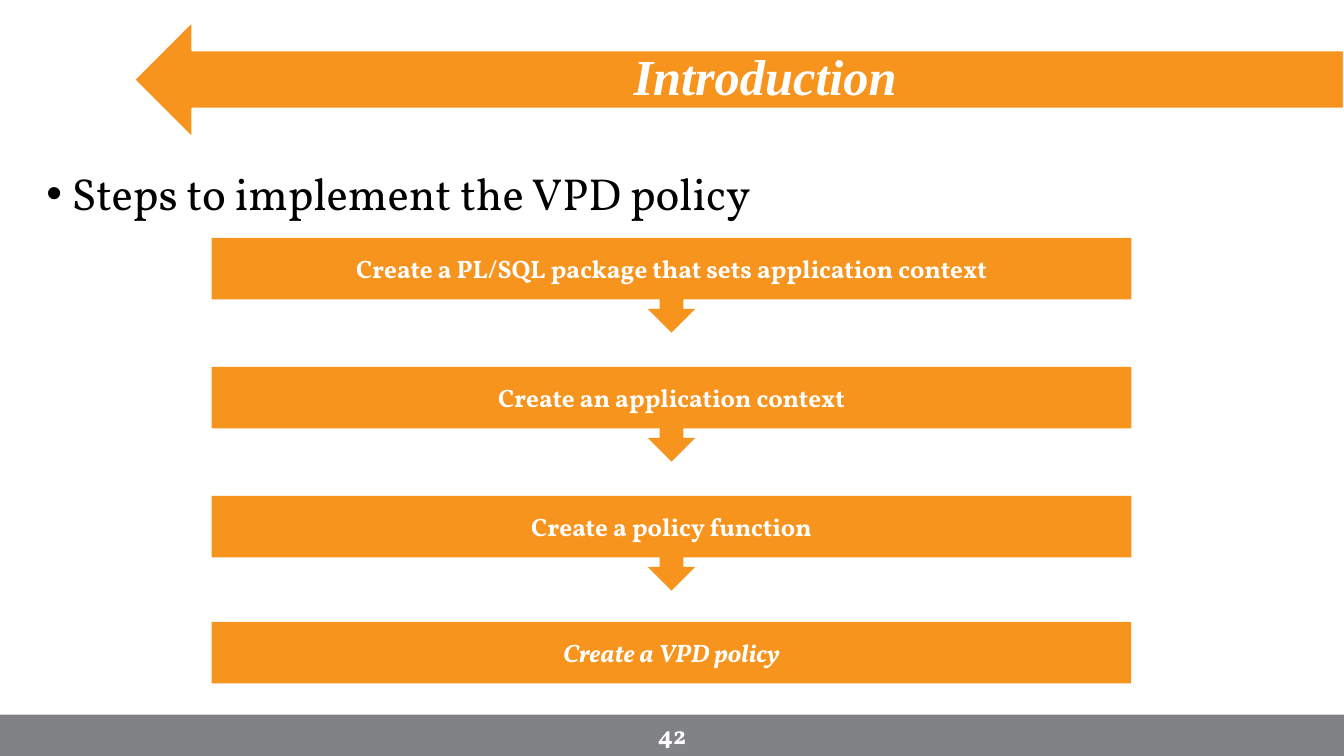
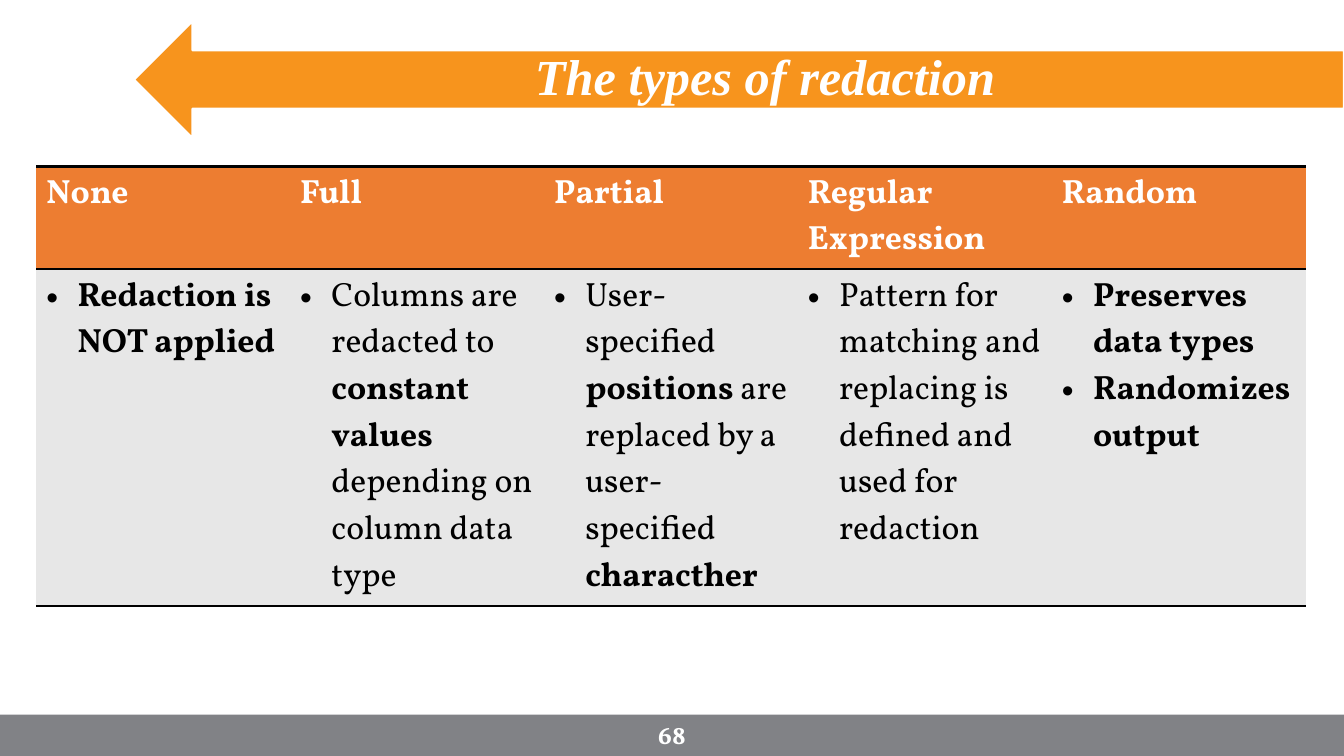
from dataclasses import dataclass

from lxml.etree import SubElement
from pptx import Presentation
from pptx.dml.color import RGBColor
from pptx.enum.shapes import MSO_SHAPE as Shape
from pptx.enum.text import MSO_ANCHOR as Anchor, MSO_AUTO_SIZE as AutoSize, PP_ALIGN as Align
from pptx.oxml.ns import qn
from pptx.util import Inches, Pt


@dataclass(frozen=True)
class Theme:
    orange: str = "F7941D"
    grey: str = "818286"
    header: str = "ED7D31"
    cell: str = "E7E7E7"
    white: str = "FFFFFF"
    black: str = "000000"
    title_font: str = "Times New Roman"
    text_font: str = "Vollkorn"
    title_size: int = 36
    list_size: int = 32
    table_size: int = 24
    label_size: int = 18
    border_width: int = 2
    plain_table_style: str = "{2D5ABB26-0587-4C30-8999-92F81FD0307C}"


class Deck:
    def __init__(self, theme):
        self.theme = theme
        self.presentation = Presentation()
        self.presentation.slide_width = Inches(13.33)
        self.presentation.slide_height = Inches(7.5)
        self.slide = None

    def style(self, paragraph, size, color, bold=None, italic=None, name=None):
        font = paragraph.font
        font.name = name or self.theme.text_font
        font.size = Pt(size)
        font.color.rgb = RGBColor.from_string(color)
        font.bold = bold
        font.italic = italic

    def bullet(self, paragraph, indent):
        properties = paragraph._p.get_or_add_pPr()
        properties.set("marL", str(Inches(indent)))
        properties.set("indent", str(-Inches(indent)))
        SubElement(properties, qn("a:buFont"), typeface="Arial")
        SubElement(properties, qn("a:buChar"), char="•")

    def place(self, shape, left, top, width, height):
        shape.left, shape.top = Inches(left), Inches(top)
        shape.width, shape.height = Inches(width), Inches(height)

    def shape(self, kind, left, top, width, height, color):
        shape = self.slide.shapes.add_shape(
            kind, Inches(left), Inches(top), Inches(width), Inches(height))
        shape.shadow.inherit = False
        shape.fill.solid()
        shape.fill.fore_color.rgb = RGBColor.from_string(color)
        shape.line.fill.background()
        return shape

    def label(self, shape, text, italic=None):
        frame = shape.text_frame
        frame.word_wrap = True
        frame.vertical_anchor = Anchor.MIDDLE
        paragraph = frame.paragraphs[0]
        paragraph.text = text
        paragraph.alignment = Align.CENTER
        self.style(paragraph, self.theme.label_size, self.theme.white, True, italic)

    def decorate_master(self):
        arrow = self.shape(Shape.LEFT_ARROW, 1.33, 0.21, 12, 1.16, self.theme.orange)
        arrow.line.color.rgb = RGBColor.from_string(self.theme.white)
        arrow.line.width = Pt(1.5)
        footer = self.shape(Shape.RECTANGLE, 0, 7.09, 13.33, 0.41, self.theme.grey)
        master_shapes = self.presentation.slide_master.shapes
        next_id = max(shape.shape_id for shape in master_shapes) + 1
        for offset, shape in enumerate((arrow, footer)):
            element = shape._element
            element.nvSpPr.cNvPr.set("id", str(next_id + offset))
            master_shapes._spTree.insert(2 + offset, element)

    def add_slide(self, layout_name, title, number):
        layout = self.presentation.slide_layouts.get_by_name(layout_name)
        first = self.slide is None
        self.slide = self.presentation.slides.add_slide(layout)
        if first:
            self.decorate_master()
        heading = self.slide.shapes.title
        self.place(heading, 1.66, 0.43, 11.86, 0.72)
        frame = heading.text_frame
        frame.auto_size = AutoSize.NONE
        frame.vertical_anchor = Anchor.MIDDLE
        paragraph = frame.paragraphs[0]
        paragraph.text = title
        paragraph.alignment = Align.CENTER
        paragraph.line_spacing = 0.9
        self.style(paragraph, self.theme.title_size, self.theme.white,
                   True, True, self.theme.title_font)
        number_box = self.slide.shapes.add_textbox(
            Inches(6.29), Inches(7.09), Inches(0.75), Inches(0.4))
        self.label(number_box, str(number))

    def body(self, text):
        placeholder = self.slide.placeholders[1]
        self.place(placeholder, 0.36, 1.65, 12.59, 4.76)
        frame = placeholder.text_frame
        frame.auto_size = AutoSize.NONE
        paragraph = frame.paragraphs[0]
        paragraph.text = text
        paragraph.line_spacing = 0.9
        paragraph.space_before = Pt(0)
        self.bullet(paragraph, 0.25)
        self.style(paragraph, self.theme.list_size, self.theme.black)

    def steps(self, callouts, final_step):
        left, top, pitch, width = 2.1, 2.36, 1.28, 9.12
        for index, text in enumerate(callouts):
            callout = self.shape(Shape.DOWN_ARROW_CALLOUT, left, top + index * pitch,
                                 width, 0.94, self.theme.orange)
            self.label(callout, text)
        box = self.shape(Shape.RECTANGLE, left, 6.17, width, 0.61, self.theme.orange)
        self.label(box, final_step, True)

    def border(self, cell, *sides):
        properties = cell._tc.get_or_add_tcPr()
        for side in sides:
            line = SubElement(properties, qn(f"a:{side}"),
                              w=str(Pt(self.theme.border_width)))
            fill = SubElement(line, qn("a:solidFill"))
            SubElement(fill, qn("a:srgbClr"), val=self.theme.black)

    def fill_cell(self, cell, color):
        self.border(cell, "lnT", "lnB")
        cell.fill.solid()
        cell.fill.fore_color.rgb = RGBColor.from_string(color)

    def cell_bullets(self, cell, items):
        frame = cell.text_frame
        for index, item in enumerate(items):
            paragraph = frame.add_paragraph() if index else frame.paragraphs[0]
            self.bullet(paragraph, 0.31)
            self.style(paragraph, self.theme.table_size, self.theme.black)
            for position, text in enumerate(item.split("*")):
                if text:
                    run = paragraph.add_run()
                    run.text = text
                    run.font.bold = position % 2 == 1

    def table(self, columns):
        width = 12.59
        frame = self.slide.shapes.add_table(
            2, len(columns), Inches(0.36), Inches(1.65), Inches(width), Inches(4.36))
        table = frame.table
        table._tbl.tblPr.find(qn("a:tableStyleId")).text = self.theme.plain_table_style
        table.horz_banding = False
        table.rows[0].height, table.rows[1].height = Inches(1.02), Inches(3.34)
        for index, (heading, items) in enumerate(columns.items()):
            table.columns[index].width = Inches(width / len(columns))
            header, content = table.cell(0, index), table.cell(1, index)
            self.fill_cell(header, self.theme.header)
            self.fill_cell(content, self.theme.cell)
            paragraph = header.text_frame.paragraphs[0]
            paragraph.text = heading
            self.style(paragraph, self.theme.table_size, self.theme.white, True)
            self.cell_bullets(content, items)


def main():
    deck = Deck(Theme())

    deck.add_slide("Title and Content", "Introduction", 42)
    deck.body("Steps to implement the VPD policy")
    deck.steps(
        ["Create a PL/SQL package that sets application context",
         "Create an application context",
         "Create a policy function"],
        "Create a VPD policy")

    deck.add_slide("Title Only", "The types of redaction", 68)
    deck.table({
        "None": ["*Redaction is NOT applied*"],
        "Full": ["Columns are redacted to *constant values *depending on column data type"],
        "Partial": ["User-specified *positions* are replaced by a user-specified *characther*"],
        "Regular Expression": [
            "Pattern for matching and replacing is defined and used for redaction"],
        "Random": ["*Preserves data types*", "*Randomizes output*"],
    })

    deck.presentation.save("out.pptx")


if __name__ == "__main__":
    main()
